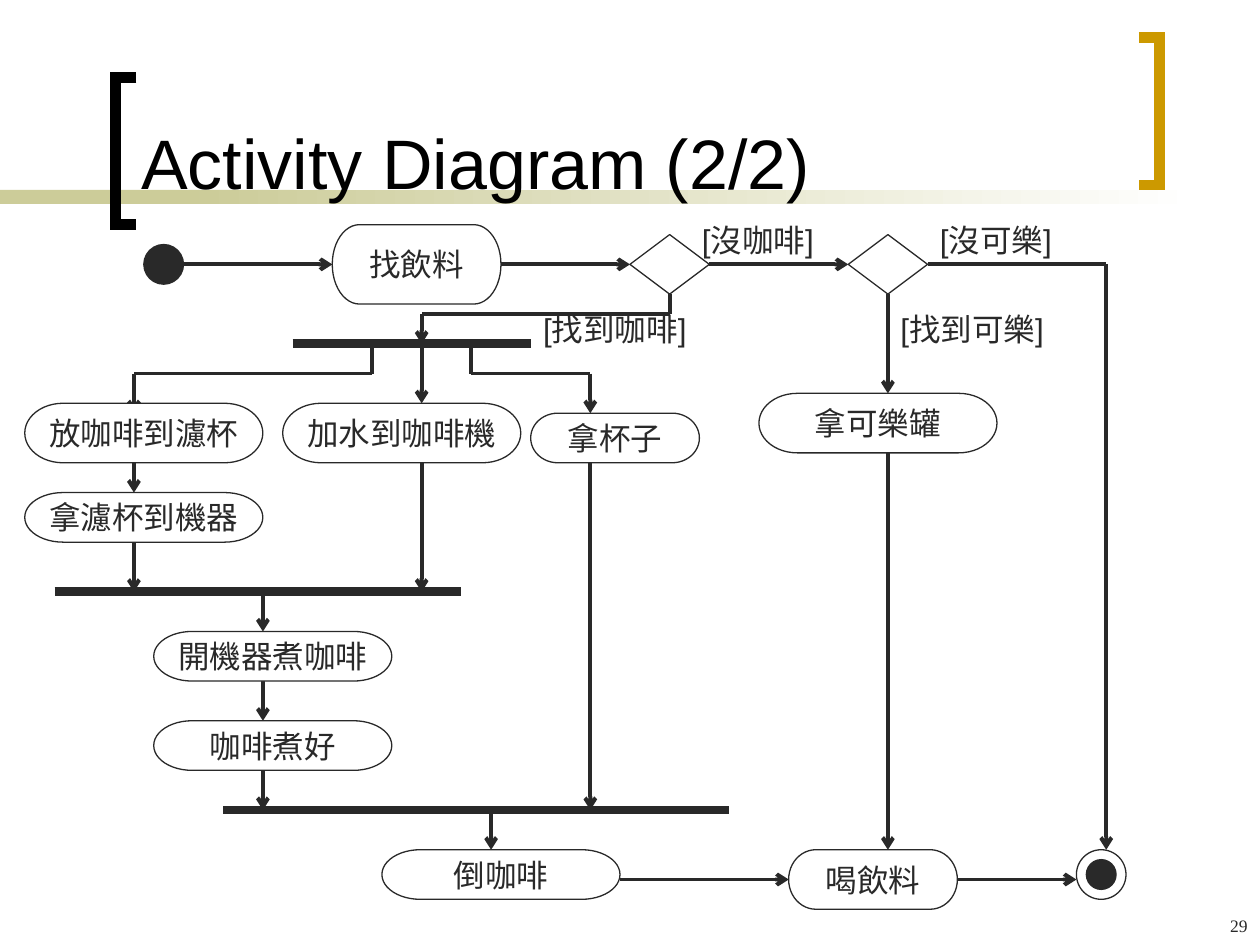
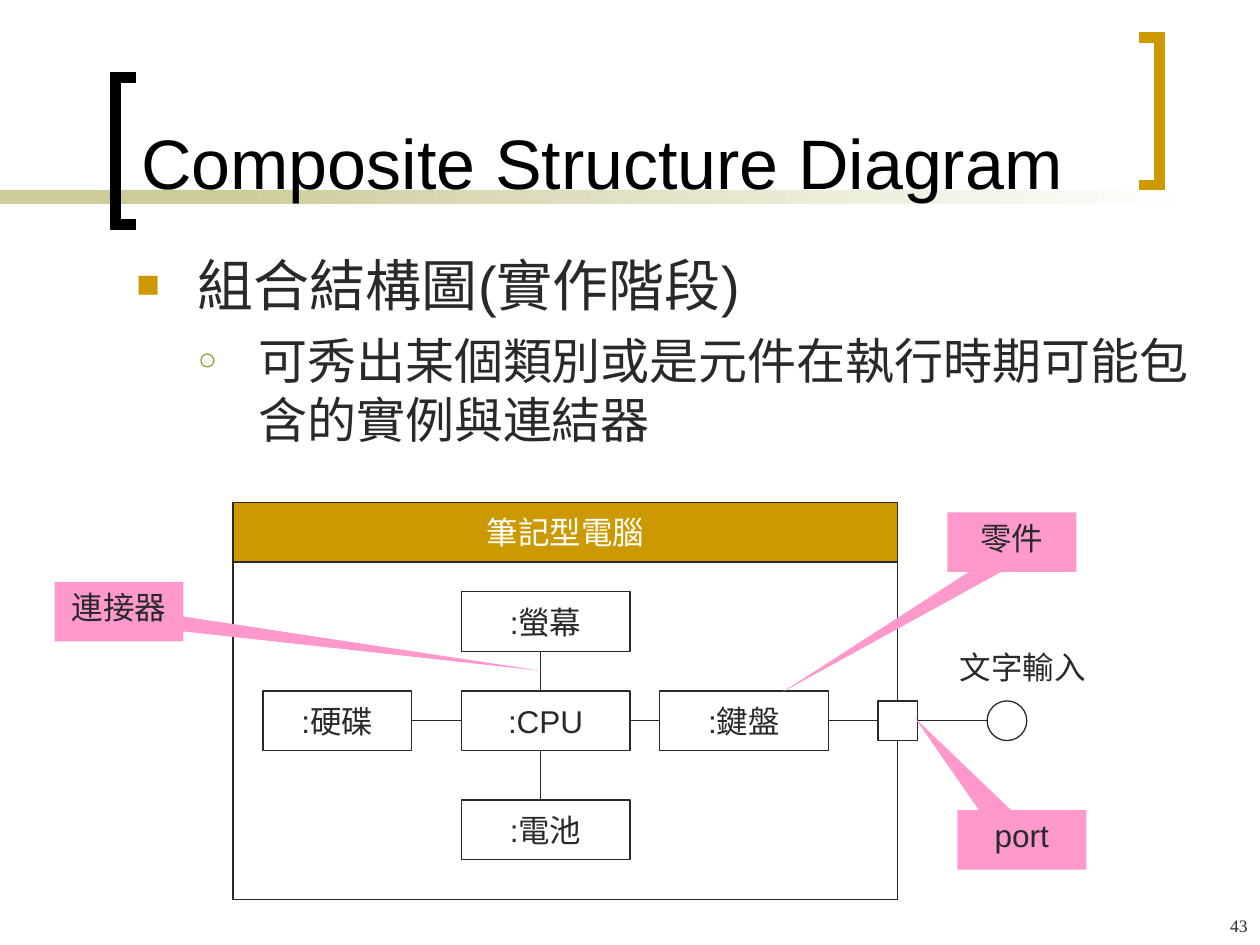
from lxml import etree
from pptx import Presentation
from pptx import util as u
from pptx.dml.color import RGBColor
from pptx.enum import shapes, text
from pptx.oxml import ns

INK = RGBColor(0x29, 0x29, 0x29)
BLACK = RGBColor(0, 0, 0)
WHITE = RGBColor(255, 255, 255)
GOLD = RGBColor(0xCC, 0x99, 0x00)
KHAKI = RGBColor(0xCC, 0xCC, 0x99)
PINK = RGBColor(0xFF, 0x99, 0xCC)
OLIVE = RGBColor(0x99, 0x99, 0x33)

FONT = "Arial"
NUMBER_FONT = "Times New Roman"
KIND = shapes.MSO_SHAPE
ALIGN = text.PP_ALIGN
ANCHOR = text.MSO_ANCHOR


def add_element(parent, tag, **attributes):
    return etree.SubElement(parent, ns.qn(tag), attributes)


def format_runs(paragraph, size, color=INK, font=FONT):
    for run in paragraph.runs:
        run.font.size = u.Pt(size)
        run.font.name = font
        run.font.color.rgb = color


def add_box(slide, kind, left, top, width, height, content="", fill=WHITE,
            line=INK, color=INK):
    shape = slide.shapes.add_shape(kind, u.Cm(left), u.Cm(top), u.Cm(width), u.Cm(height))
    shape.shadow.inherit = False
    if fill is None:
        shape.fill.background()
    else:
        shape.fill.solid()
        shape.fill.fore_color.rgb = fill
    if line is None:
        shape.line.fill.background()
    else:
        shape.line.color.rgb = line
        shape.line.width = u.Pt(0.75)
    if content:
        frame = shape.text_frame
        frame.word_wrap = False
        frame.vertical_anchor = ANCHOR.MIDDLE
        frame.text = content
        frame.paragraphs[0].alignment = ALIGN.CENTER
        format_runs(frame.paragraphs[0], 18, color)
    return shape


def add_text(slide, content, left, top, width, height, size=18, color=INK,
             font=FONT, align=ALIGN.LEFT, anchor=ANCHOR.TOP):
    box = slide.shapes.add_textbox(u.Cm(left), u.Cm(top), u.Cm(width), u.Cm(height))
    frame = box.text_frame
    frame.word_wrap = True
    frame.vertical_anchor = anchor
    frame.text = content
    frame.paragraphs[0].alignment = align
    format_runs(frame.paragraphs[0], size, color, font)
    return box


def add_line(slide, start, end, width=2.25, arrow=False):
    line = slide.shapes.add_connector(
        shapes.MSO_CONNECTOR.STRAIGHT, *(u.Cm(value) for value in (*start, *end)))
    line.line.color.rgb = INK
    line.line.width = u.Pt(width)
    if arrow:
        add_element(line.line._get_or_add_ln(), "a:tailEnd", type="arrow")
    add_element(line._element.spPr, "a:effectLst")


def add_route(slide, *points):
    for start, end in zip(points, points[1:]):
        add_line(slide, start, end, arrow=end == points[-1])


def add_bracket(slide, open_x, spine_x, top, color):
    bottom = top + 2.97
    corners = [(open_x, top), (spine_x, top), (spine_x, bottom), (open_x, bottom)]
    points = [(u.Cm(x), u.Cm(y)) for x, y in corners]
    builder = slide.shapes.build_freeform(*points[0])
    builder.add_line_segments(points[1:], close=False)
    bracket = builder.convert_to_shape()
    bracket.shadow.inherit = False
    bracket.fill.background()
    bracket.line.color.rgb = color
    bracket.line.width = u.Pt(6)
    add_element(bracket.line._get_or_add_ln(), "a:miter", lim="800000")


def add_callout(slide, content, left, top, tip_x, tip_y):
    width, height = 2.6, 1.2
    callout = add_box(slide, KIND.RECTANGULAR_CALLOUT, left, top, width, height,
                      content, PINK, line=None)
    callout.text_frame.word_wrap = True
    callout.text_frame.vertical_anchor = ANCHOR.TOP
    callout.adjustments[0] = (tip_x - left) / width - 0.5
    callout.adjustments[1] = (tip_y - top) / height - 0.5


def format_bullet(paragraph, symbol, color, percent, margin, indent, size, before):
    properties = paragraph._p.get_or_add_pPr()
    properties.set("marL", str(u.Cm(margin)))
    properties.set("indent", str(u.Cm(-indent)))
    bullet_color = add_element(properties, "a:buClr")
    add_element(bullet_color, "a:srgbClr", val=str(color))
    add_element(properties, "a:buSzPct", val=str(percent * 1000))
    add_element(properties, "a:buFont", typeface=FONT)
    add_element(properties, "a:buChar", char=symbol)
    if before:
        paragraph.space_before = u.Pt(before)
    format_runs(paragraph, size)


def add_slide(presentation, title, number):
    slide = presentation.slides.add_slide(presentation.slide_layouts[6])
    add_box(slide, KIND.RECTANGLE, 0, 3.83, 5.92, 0.28, fill=KHAKI, line=None)
    fade = add_box(slide, KIND.RECTANGLE, 4.02, 3.83, 20.11, 0.28, line=None)
    fade.fill.gradient()
    fade.fill.gradient_angle = 180
    for stop, color in zip(fade.fill.gradient_stops, (WHITE, KHAKI)):
        stop.color.rgb = color
    add_bracket(slide, 2.75, 2.33, 1.56, BLACK)
    add_bracket(slide, 22.96, 23.38, 0.76, GOLD)
    add_text(slide, title, 2.6, 0.28, 19.9, 3.94, 40, BLACK, anchor=ANCHOR.BOTTOM)
    add_text(slide, number, 20.12, 18.33, 5.28, 0.72, 10, font=NUMBER_FONT,
             align=ALIGN.RIGHT)
    return slide


def build_activity(slide):
    for left, right, y in ((5.9, 10.7, 6.93), (1.1, 9.3, 11.93), (4.5, 14.7, 16.33)):
        add_line(slide, (left, y), (right, y), width=5)

    routes = [
        [(3.3, 5.33), (6.7, 5.33)],
        [(10.1, 5.33), (12.7, 5.33)],
        [(14.3, 5.33), (17.1, 5.33)],
        [(18.7, 5.33), (22.3, 5.33), (22.3, 17.13)],
        [(13.5, 5.93), (13.5, 6.33), (8.5, 6.33), (8.5, 6.93)],
        [(7.5, 6.93), (7.5, 7.53), (2.7, 7.53), (2.7, 8.33)],
        [(8.5, 6.93), (8.5, 8.13)],
        [(9.5, 6.93), (9.5, 7.53), (11.9, 7.53), (11.9, 8.33)],
        [(2.7, 9.33), (2.7, 9.93)],
        [(2.7, 10.93), (2.7, 11.93)],
        [(8.5, 9.33), (8.5, 11.93)],
        [(5.3, 11.93), (5.3, 12.73)],
        [(5.3, 13.73), (5.3, 14.53)],
        [(5.3, 15.53), (5.3, 16.33)],
        [(11.9, 9.33), (11.9, 16.33)],
        [(9.9, 16.33), (9.9, 17.13)],
        [(17.9, 5.93), (17.9, 7.93)],
        [(17.9, 9.13), (17.9, 17.13)],
        [(12.5, 17.73), (15.9, 17.73)],
        [(19.3, 17.73), (21.7, 17.73)],
    ]
    for route in routes:
        add_route(slide, *route)

    activities = [
        ("找飲料", 6.7, 4.53, 3.4, 1.6),
        ("放咖啡到濾杯", 0.5, 8.13, 4.8, 1.2),
        ("加水到咖啡機", 5.7, 8.13, 4.8, 1.2),
        ("拿杯子", 10.7, 8.33, 3.4, 1),
        ("拿可樂罐", 15.3, 7.93, 4.8, 1.2),
        ("拿濾杯到機器", 0.5, 9.93, 4.8, 1),
        ("開機器煮咖啡", 3.1, 12.73, 4.8, 1),
        ("咖啡煮好", 3.1, 14.53, 4.8, 1),
        ("倒咖啡", 7.7, 17.13, 4.8, 1),
        ("喝飲料", 15.9, 17.13, 3.4, 1.2),
    ]
    for name, *place in activities:
        add_box(slide, KIND.FLOWCHART_TERMINATOR, *place, name)
    for left in (12.7, 17.1):
        add_box(slide, KIND.FLOWCHART_DECISION, left, 4.73, 1.6, 1.2)
    add_box(slide, KIND.OVAL, 2.9, 4.93, 0.8, 0.8, fill=INK)
    add_box(slide, KIND.OVAL, 21.7, 17.13, 1, 1)
    add_box(slide, KIND.OVAL, 21.9, 17.33, 0.6, 0.6, fill=INK)

    guards = [
        ("[沒咖啡]", 13.9, 4.33, 3.8),
        ("[沒可樂]", 18.7, 4.33, 2.8),
        ("[找到咖啡]", 10.7, 6.13, 3.8),
        ("[找到可樂]", 17.9, 6.13, 4),
    ]
    for guard, left, top, width in guards:
        add_text(slide, guard, left, top, width, 1.02)


def build_composite(slide):
    body = add_text(slide, "組合結構圖(實作階段)", 2.5, 4.93, 21.87, 11.43, 32).text_frame
    format_bullet(body.paragraphs[0], "■", GOLD, 70, 1.24, 1.24, 32, 0)
    detail = body.add_paragraph()
    detail.text = "可秀出某個類別或是元件在執行時期可能包含的實例與連結器"
    detail.level = 1
    format_bullet(detail, "○", OLIVE, 65, 2.46, 1.22, 28, 7)

    add_box(slide, KIND.RECTANGLE, 4.7, 11.33, 13.4, 6.8, fill=None)
    add_box(slide, KIND.RECTANGLE, 4.7, 10.13, 13.4, 1.2, "筆記型電腦", GOLD, color=WHITE)
    add_line(slide, (8.3, 14.53), (19.9, 14.53), width=0.75)
    add_line(slide, (10.9, 13.13), (10.9, 16.33), width=0.75)
    parts = [
        (":螢幕", 9.3, 11.93, 3.4),
        (":硬碟", 5.3, 13.93, 3),
        (":CPU", 9.3, 13.93, 3.4),
        (":鍵盤", 13.3, 13.93, 3.4),
        (":電池", 9.3, 16.13, 3.4),
    ]
    for name, left, top, width in parts:
        add_box(slide, KIND.RECTANGLE, left, top, width, 1.2, name)
    add_box(slide, KIND.RECTANGLE, 17.7, 14.13, 0.8, 0.8)
    add_box(slide, KIND.OVAL, 19.9, 14.13, 0.8, 0.8)
    add_callout(slide, "port", 19.3, 16.33, 18.45, 14.48)
    add_callout(slide, "零件", 19.1, 10.33, 15.76, 13.96)
    add_callout(slide, "連接器", 1.1, 11.73, 10.95, 13.53)
    add_text(slide, "文字輸入", 19.1, 12.93, 3.4, 1.02)


def main():
    presentation = Presentation()
    presentation.slide_width = u.Cm(25.4)
    presentation.slide_height = u.Cm(19.05)
    build_activity(add_slide(presentation, "Activity Diagram (2/2)", "29"))
    build_composite(add_slide(presentation, "Composite Structure Diagram", "43"))
    presentation.save("out.pptx")


if __name__ == "__main__":
    main()
